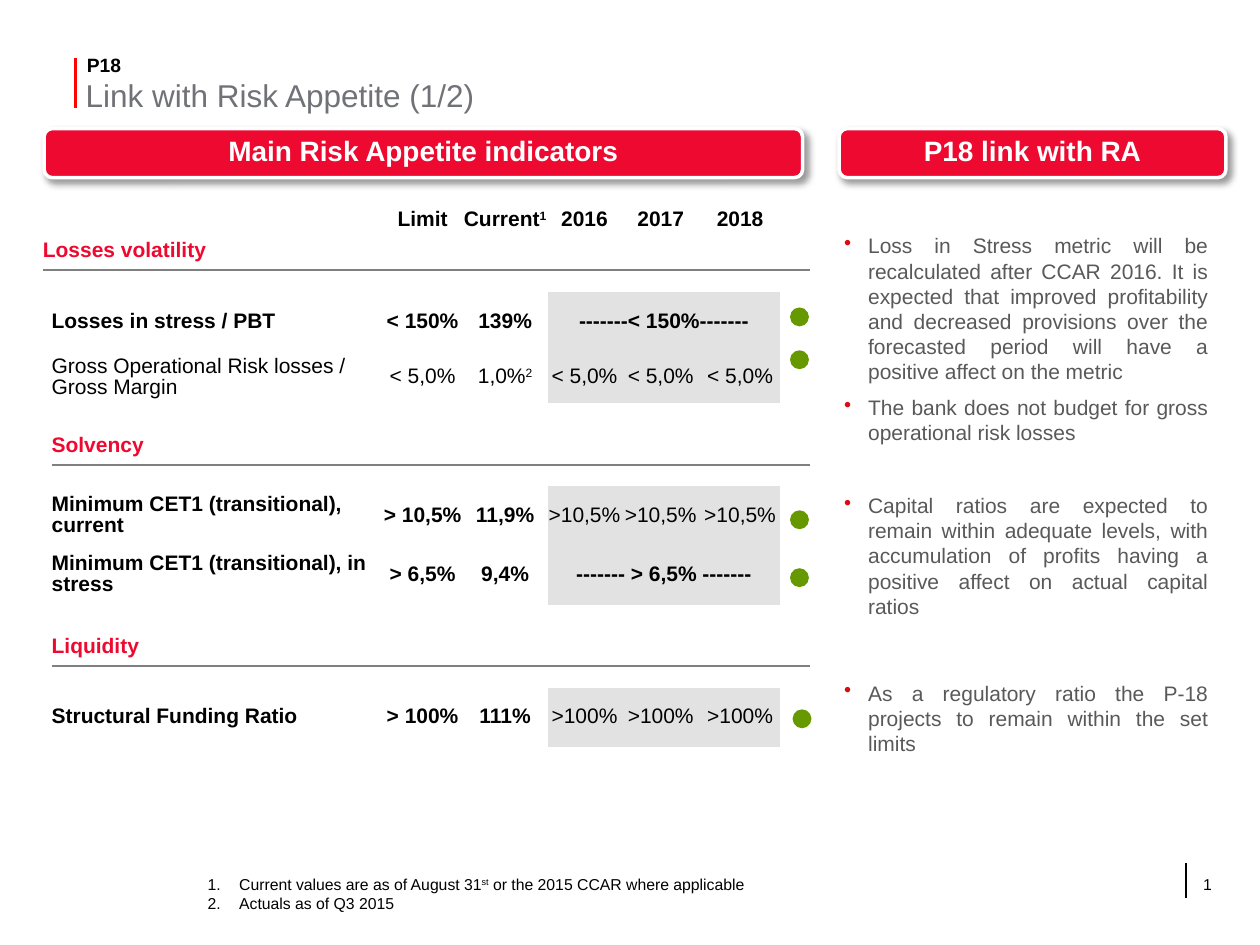
"""Build the slide linking the P18 plan with the risk appetite indicators."""
from dataclasses import dataclass, replace

from lxml.etree import SubElement
from pptx import Presentation
from pptx.dml.color import RGBColor
from pptx.enum.shapes import MSO_CONNECTOR, MSO_SHAPE as Preset
from pptx.enum.text import MSO_ANCHOR as Anchor, PP_ALIGN as Align
from pptx.oxml.ns import qn
from pptx.util import Inches, Pt

RED, GREEN, GREY, BLACK, WHITE = "ED092F", "669900", "E3E2E2", "000000", "FFFFFF"
NO_TABLE_STYLE = "{2D5ABB26-0587-4C30-8999-92F81FD0307C}"


@dataclass(frozen=True)
class TextStyle:
    size: float
    color: str = BLACK
    bold: bool = False
    align: Align = Align.LEFT
    spacing: object = None


@dataclass(frozen=True)
class Bullet:
    tag: str
    attributes: dict
    indent: float
    color: str = BLACK


@dataclass(frozen=True)
class Row:
    height: float
    label: str = ""
    values: tuple = ()
    bold: bool = True
    plan_bold: bool = False
    heading_column: int = -1


LABEL = TextStyle(12, bold=True, spacing=0.9)
VALUE = replace(LABEL, align=Align.CENTER)
BANNER = TextStyle(16, WHITE, True, Align.CENTER, Pt(16))
COMMENT = TextStyle(12, "595959", align=Align.JUSTIFY)
FOOTNOTE = TextStyle(9)
DOT_BULLET = Bullet("a:buChar", {"char": "•"}, 0.19, "DB0B11")
NUMBER_BULLET = Bullet("a:buAutoNum", {"type": "arabicPeriod"}, 0.25)

COLUMNS = (0.07, 2.56, 0.07, 0.63, 0.68, 0.58, 0.63, 0.63, 0.24)
LIMIT_COLUMN, PLAN_COLUMN, LAST_PLAN_COLUMN = 3, 5, 7
ROWS = (
    Row(0.18, values=("Limit", "Current^1", "2016", "2017", "2018")),
    Row(0.3, "Losses volatility", heading_column=0),
    Row(0.18),
    Row(0.47, "Losses in stress / PBT", ("< 150%", "139%", "-------< 150%-------"), plan_bold=True),
    Row(0.41, "Gross Operational Risk losses / Gross Margin",
        ("< 5,0%", "1,0%^2", "< 5,0%", "< 5,0%", "< 5,0%"), bold=False),
    Row(0.19),
    Row(0.3, "Solvency", heading_column=1),
    Row(0.17),
    Row(0.47, "Minimum CET1 (transitional), current",
        ("> 10,5%", "11,9%", ">10,5%", ">10,5%", ">10,5%")),
    Row(0.47, "Minimum CET1 (transitional), in stress",
        ("> 6,5%", "9,4%", "------- > 6,5% -------"), plan_bold=True),
    Row(0.19),
    Row(0.3, "Liquidity", heading_column=1),
    Row(0.17),
    Row(0.47, "Structural Funding Ratio", ("> 100%", "111%", ">100%", ">100%", ">100%")),
)
COMMENTS = (
    (1.8, ("Loss in Stress metric will be recalculated after CCAR 2016. It is expected that "
           "improved profitability and decreased provisions over the forecasted period will "
           "have a positive affect on the metric",
           "The bank does not budget for gross operational risk losses")),
    (3.86, ("Capital ratios are expected to remain within adequate levels, with accumulation "
            "of profits having a positive affect on actual capital ratios",)),
    (5.35, ("As a regulatory ratio the P-18 projects to remain within the set limits",)),
)
FOOTNOTES = ("Current values are as of August 31^st^ or the 2015 CCAR where applicable",
             "Actuals as of Q3 2015")
STATUS_DOTS = ((6.27, 2.44), (6.27, 2.78), (6.27, 4.05), (6.27, 4.51), (6.29, 5.63))


def rgb(color: str) -> RGBColor:
    """Turn a hex string into a colour."""
    return RGBColor.from_string(color)


def write(paragraph, text: str, style: TextStyle, bullet: Bullet = None) -> None:
    """Fill a paragraph, raising the parts that stand between carets."""
    for index, part in enumerate(text.split("^")):
        run = paragraph.add_run()
        run.text = part
        if index % 2:
            run.font._element.set("baseline", "30000")
    if bullet:
        properties = paragraph._p.get_or_add_pPr()
        properties.set("marL", str(Inches(bullet.indent)))
        properties.set("indent", str(-Inches(bullet.indent)))
        SubElement(SubElement(properties, qn("a:buClr")), qn("a:srgbClr"), val=bullet.color)
        SubElement(properties, qn(bullet.tag), bullet.attributes)
    paragraph.alignment = style.align
    if style.spacing:
        paragraph.line_spacing = style.spacing
    font = paragraph.font
    font.name, font.size, font.bold = "Arial", Pt(style.size), style.bold
    font.color.rgb = rgb(style.color)


def set_margins(target, left: float, top: float, right: float, bottom: float) -> None:
    """Set the insets of a text frame or a table cell."""
    target.margin_left, target.margin_top = Inches(left), Inches(top)
    target.margin_right, target.margin_bottom = Inches(right), Inches(bottom)


def add_text(slide, box: tuple, texts: tuple, style: TextStyle, margins=(0.1, 0.05, 0.1, 0.05),
             bullet: Bullet = None, gap: float = 0) -> None:
    """Add a wrapped text box with one paragraph per text."""
    frame = slide.shapes.add_textbox(*map(Inches, box)).text_frame
    frame.word_wrap = True
    set_margins(frame, *margins)
    for index, text in enumerate(texts):
        paragraph = frame.add_paragraph() if index else frame.paragraphs[0]
        write(paragraph, text, style, bullet)
        if index and gap:
            paragraph.space_before = Pt(gap)


def add_rule(slide, x: float, top: float, bottom: float, color: str, width: float) -> None:
    """Add a vertical line."""
    rule = slide.shapes.add_connector(MSO_CONNECTOR.STRAIGHT, *map(Inches, (x, top, x, bottom)))
    rule.line.color.rgb, rule.line.width = rgb(color), Pt(width)
    SubElement(rule._element.spPr, qn("a:effectLst"))


def add_banner(slide, left: float, width: float, text: str) -> None:
    """Add a red rounded heading with a soft shadow."""
    banner = slide.shapes.add_shape(Preset.ROUNDED_RECTANGLE, *map(Inches, (left, 1.02, width, 0.39)))
    banner.fill.solid()
    banner.fill.fore_color.rgb = rgb(RED)
    banner.line.color.rgb, banner.line.width = rgb(WHITE), Pt(2)
    banner.shadow.inherit = False
    shadow = SubElement(banner._element.spPr.find(qn("a:effectLst")), qn("a:outerShdw"),
                        blurRad=str(Pt(4)), dist=str(Pt(3)), dir="2700000", algn="tl")
    SubElement(SubElement(shadow, qn("a:srgbClr"), val=BLACK), qn("a:alpha"), val="40000")
    set_margins(banner.text_frame, 0.04, 0.05, 0.04, 0.05)
    banner.text_frame.vertical_anchor = Anchor.MIDDLE
    write(banner.text_frame.paragraphs[0], text, BANNER)


def add_status_dot(slide, left: float, top: float) -> None:
    """Add a green status dot."""
    dot = slide.shapes.add_shape(Preset.OVAL, *map(Inches, (left, top, 0.15, 0.15)))
    dot.fill.solid()
    dot.fill.fore_color.rgb = rgb(GREEN)
    dot.line.fill.background()
    dot.shadow.inherit = False


def underline(cell) -> None:
    """Give a cell a grey bottom border."""
    border = SubElement(cell._tc.get_or_add_tcPr(), qn("a:lnB"), w=str(Pt(1.5)))
    SubElement(SubElement(border, qn("a:solidFill")), qn("a:srgbClr"), val="808080")


def fill_row(table, index: int, row: Row) -> None:
    """Format and fill one row of the indicator table."""
    table.rows[index].height = Inches(row.height)
    is_heading = row.heading_column >= 0
    texts = {LIMIT_COLUMN + offset: value for offset, value in enumerate(row.values)}
    if row.label:
        texts[row.heading_column if is_heading else 1] = row.label
    for column in range(len(COLUMNS)):
        cell = table.cell(index, column)
        set_margins(cell, 0, 0, 0, 0)
        cell.vertical_anchor = Anchor.MIDDLE
        is_plan = PLAN_COLUMN <= column <= LAST_PLAN_COLUMN
        if is_heading and column >= row.heading_column:
            underline(cell)
        if is_plan and row.label and row.values:
            cell.fill.solid()
            cell.fill.fore_color.rgb = rgb(GREY)
        else:
            cell.fill.background()
        paragraph = cell.text_frame.paragraphs[0]
        if column in texts:
            bold = row.plan_bold if is_plan and row.label else row.bold
            style = replace(VALUE if column >= LIMIT_COLUMN else LABEL, bold=bold,
                            color=RED if is_heading else BLACK)
            write(paragraph, texts[column], style)
        else:
            SubElement(paragraph._p, qn("a:endParaRPr"), sz="600")
    if is_heading:
        table.cell(index, row.heading_column).merge(table.cell(index, row.heading_column + 1))
    if len(row.values) == 3:
        table.cell(index, PLAN_COLUMN).merge(table.cell(index, LAST_PLAN_COLUMN))


def add_indicators(slide) -> None:
    """Add the table of risk appetite indicators."""
    box = map(Inches, (0.34, 1.66, sum(COLUMNS), sum(row.height for row in ROWS)))
    table = slide.shapes.add_table(len(ROWS), len(COLUMNS), *box).table
    table.first_row = table.horz_banding = False
    table._tbl.tblPr.find(qn("a:tableStyleId")).text = NO_TABLE_STYLE
    for column, width in zip(table.columns, COLUMNS):
        column.width = Inches(width)
    for index, row in enumerate(ROWS):
        fill_row(table, index, row)


def main() -> None:
    """Build and save the presentation."""
    deck = Presentation()
    deck.slide_width, deck.slide_height = Inches(10), Inches(7.5)
    slide = deck.slides.add_slide(deck.slide_layouts[6])
    add_rule(slide, 0.6, 0.46, 0.86, "FF0303", 1.5)
    add_rule(slide, 9.41, 6.85, 7.13, BLACK, 1)
    add_text(slide, (0.69, 0.42, 5.06, 0.22), ("P18",), TextStyle(11, bold=True), (0, 0, 0, 0))
    add_text(slide, (0.68, 0.6, 7.35, 0.36), ("Link with Risk Appetite (1/2)",),
             TextStyle(18, "707277"), (0, 0, 0, 0))
    add_text(slide, (9.45, 6.89, 0.42, 0.4), ("1",), FOOTNOTE)
    add_banner(slide, 0.35, 6.02, "Main Risk Appetite indicators")
    add_indicators(slide)
    add_banner(slide, 6.66, 3.07, "P18 link with RA")
    for left, top in STATUS_DOTS:
        add_status_dot(slide, left, top)
    for top, texts in COMMENTS:
        add_text(slide, (6.66, top, 3.03, 0.83), texts, COMMENT, (0.04, 0.05, 0.1, 0.05), DOT_BULLET, 6)
    add_text(slide, (1.55, 6.89, 4.83, 0.4), FOOTNOTES, FOOTNOTE, bullet=NUMBER_BULLET)
    deck.save("out.pptx")


if __name__ == "__main__":
    main()
